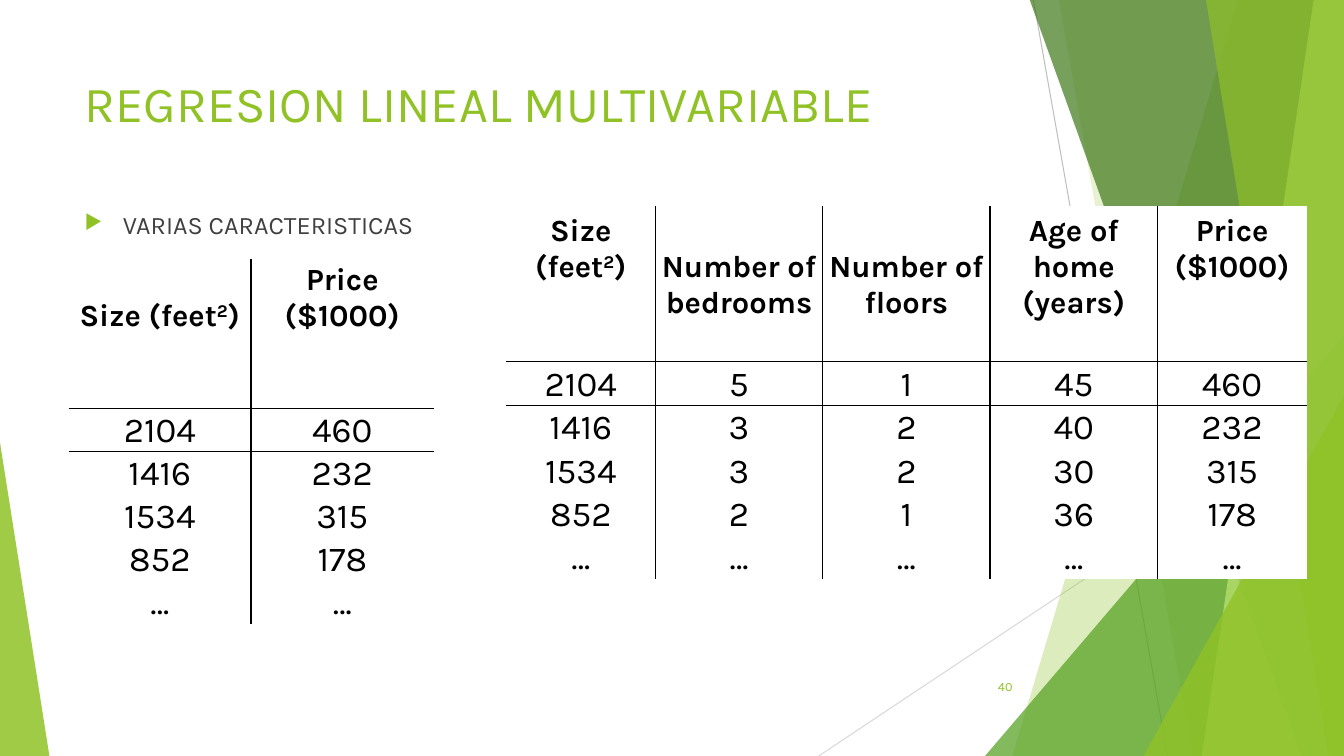
import pptx
import pptx.dml.color
import pptx.enum.shapes
import pptx.enum.text
import pptx.util
from lxml import etree
from pptx.util import Inches

THEME = {
    "font": "Karla",
    "green": "90C226", "leaf": "54A021", "forest": "3F7819", "lime": "C0E474",
    "body": "404040", "ink": "000000", "paper": "FFFFFF",
    "ray_dark": "BFBFBF", "ray_light": "D9D9D9",
    "title_size": 36, "body_size": 18, "number_size": 9,
    "header_size": 22, "cell_size": 25,
}
A = "http://schemas.openxmlformats.org/drawingml/2006/main"
ALIGN = pptx.enum.text.PP_ALIGN
ANCHOR = pptx.enum.text.MSO_ANCHOR
SHAPE = pptx.enum.shapes.MSO_SHAPE
CONNECTOR = pptx.enum.shapes.MSO_CONNECTOR


def add_xml(parent, tag, **attributes):
    return etree.SubElement(parent, f"{{{A}}}{tag}", attributes)


def write(paragraph, text, color, size, bold=False, superscript=False):
    run = paragraph.add_run()
    run.text = text
    font_format = {"name": THEME["font"], "size": pptx.util.Pt(THEME[size]), "bold": bold}
    for attribute, value in font_format.items():
        setattr(run.font, attribute, value)
    run.font.color.rgb = pptx.dml.color.RGBColor.from_string(THEME[color])
    if superscript:
        run.font._element.set("baseline", "30000")


presentation = pptx.Presentation()
presentation.slide_width, presentation.slide_height = Inches(13.33), Inches(7.5)
slide = presentation.slides.add_slide(presentation.slide_layouts[6])
shapes = slide.shapes

# Thin rays behind the facets
for x1, y1, x2, y2, color in [
    (10.25, 0, 11.58, 7.5, "ray_dark"),
    (13.33, 4.03, 8.12, 7.5, "ray_light"),
]:
    ray = shapes.add_connector(CONNECTOR.STRAIGHT, Inches(x1), Inches(y1), Inches(x2), Inches(y2))
    ray.line.color.rgb = pptx.dml.color.RGBColor.from_string(THEME[color])
    ray.line.width = pptx.util.Pt(0.75)
    add_xml(ray._element.spPr, "effectLst")

# Translucent facets: bands give top and bottom x of their slanted edge,
# triangles give left, top, width, height and apex position
for kind, geometry, color, opacity in [
    ("band", (12.28, 10.04), "green", 30),
    ("band", (10.5, 11.83), "green", 20),
    ("triangle", (9.77, 3.33, 3.56, 4.17, 1), "leaf", 72),
    ("band", (10.21, 12.91), "forest", 70),
    ("band", (13.03, 11.92), "lime", 70),
    ("band", (11.96, 13.18), "green", 65),
    ("triangle", (11.34, 3.93, 1.99, 3.57, 1), "green", 80),
    ("triangle", (0, 4.39, 0.49, 3.11, 0), "green", 85),
]:
    if kind == "band":
        top_x, bottom_x = geometry
        outline = shapes.build_freeform(Inches(top_x), Inches(-0.01))
        corners = [(13.33, -0.01), (13.33, 7.5), (bottom_x, 7.5)]
        outline.add_line_segments([(Inches(x), Inches(y)) for x, y in corners], close=True)
        facet = outline.convert_to_shape()
    else:
        *box, apex = geometry
        facet = shapes.add_shape(SHAPE.ISOSCELES_TRIANGLE, *map(Inches, box))
        facet.adjustments[0] = apex
    facet.shadow.inherit = False
    facet.line.fill.background()
    facet.fill.solid()
    facet.fill.fore_color.rgb = pptx.dml.color.RGBColor.from_string(THEME[color])
    tint = facet._element.spPr.find(f".//{{{A}}}srgbClr")
    add_xml(tint, "alpha", val=str(opacity * 1000))

# Title, bullet and slide number
for text, box, color, size, anchor, align, bulleted in [
    ("REGRESION LINEAL MULTIVARIABLE", (0.74, 0.67, 9.4, 1.44),
     "green", "title_size", ANCHOR.TOP, ALIGN.LEFT, False),
    ("VARIAS CARACTERISTICAS", (0.74, 2.03, 9.4, 4.24),
     "body", "body_size", ANCHOR.TOP, ALIGN.LEFT, True),
    ("40", (9.39, 6.61, 0.75, 0.4),
     "green", "number_size", ANCHOR.MIDDLE, ALIGN.RIGHT, False),
]:
    frame = shapes.add_textbox(*map(Inches, box)).text_frame
    frame.word_wrap = True
    frame.vertical_anchor = anchor
    paragraph = frame.paragraphs[0]
    paragraph.alignment = align
    if bulleted:
        properties = paragraph._p.get_or_add_pPr()
        properties.set("marL", str(Inches(0.38)))
        properties.set("indent", str(Inches(-0.38)))
        add_xml(add_xml(properties, "buClr"), "srgbClr", val=THEME["green"])
        add_xml(properties, "buSzPct", val="80000")
        add_xml(properties, "buChar", char="▶")
    write(paragraph, text, color, size)

# House price tables; each header has its text and the room left below it
sizes = ["2104", "1416", "1534", "852", "…"]
bedrooms = ["5", "3", "3", "2", "…"]
floors = ["1", "2", "2", "1", "…"]
ages = ["45", "40", "30", "36", "…"]
prices = ["460", "232", "315", "178", "…"]

for left, top, header_height, row_height, columns in [
    (0.68, 2.57, 1.48, 0.42, [
        ("Size (feet2)", 0.74, 1.81, sizes),
        ("Price ($1000)", 0.74, 1.81, prices),
    ]),
    (5.02, 2.04, 1.55, 0.43, [
        ("Size (feet2)", 0.76, 1.48, sizes),
        ("Number of bedrooms", 0.4, 1.66, bedrooms),
        ("Number of floors", 0.4, 1.66, floors),
        ("Age of home (years)", 0.4, 1.66, ages),
        ("Price ($1000)", 0.76, 1.48, prices),
    ]),
]:
    row_count = len(sizes) + 1
    width = sum(column[2] for column in columns)
    height = header_height + row_height * len(sizes)
    houses = shapes.add_table(row_count, len(columns), Inches(left), Inches(top),
                              Inches(width), Inches(height)).table
    for r in range(row_count):
        houses.rows[r].height = Inches(row_height if r else header_height)
    for c, (header, room_below, column_width, values) in enumerate(columns):
        houses.columns[c].width = Inches(column_width)
        for r, text in enumerate([header, *values]):
            cell = houses.cell(r, c)
            cell_format = {
                "margin_left": Inches(0.01), "margin_right": Inches(0.01),
                "margin_top": Inches(0.01), "vertical_anchor": ANCHOR.BOTTOM,
                "margin_bottom": Inches(0 if r else room_below),
            }
            for attribute, value in cell_format.items():
                setattr(cell, attribute, value)

            # Rules between columns, and above and below the first house
            edges = {"lnL": c > 0, "lnR": c < len(columns) - 1,
                     "lnT": r in (1, 2), "lnB": r in (0, 1)}
            for tag, visible in edges.items():
                edge = add_xml(cell._tc.get_or_add_tcPr(), tag, w=str(pptx.util.Pt(1)))
                if visible:
                    add_xml(add_xml(edge, "solidFill"), "srgbClr", val=THEME["ink"])
                else:
                    add_xml(edge, "noFill")
            cell.fill.solid()
            cell.fill.fore_color.rgb = pptx.dml.color.RGBColor.from_string(THEME["paper"])

            paragraph = cell.text_frame.paragraphs[0]
            paragraph.alignment = ALIGN.CENTER
            size = "cell_size" if r else "header_size"
            before, exponent, after = text.partition("2)")
            if exponent:
                write(paragraph, before, "ink", size, bold=True)
                write(paragraph, "2", "ink", size, bold=True, superscript=True)
                write(paragraph, ")" + after, "ink", size, bold=True)
            else:
                write(paragraph, text, "ink", size, bold=r == 0)

presentation.save("out.pptx")
